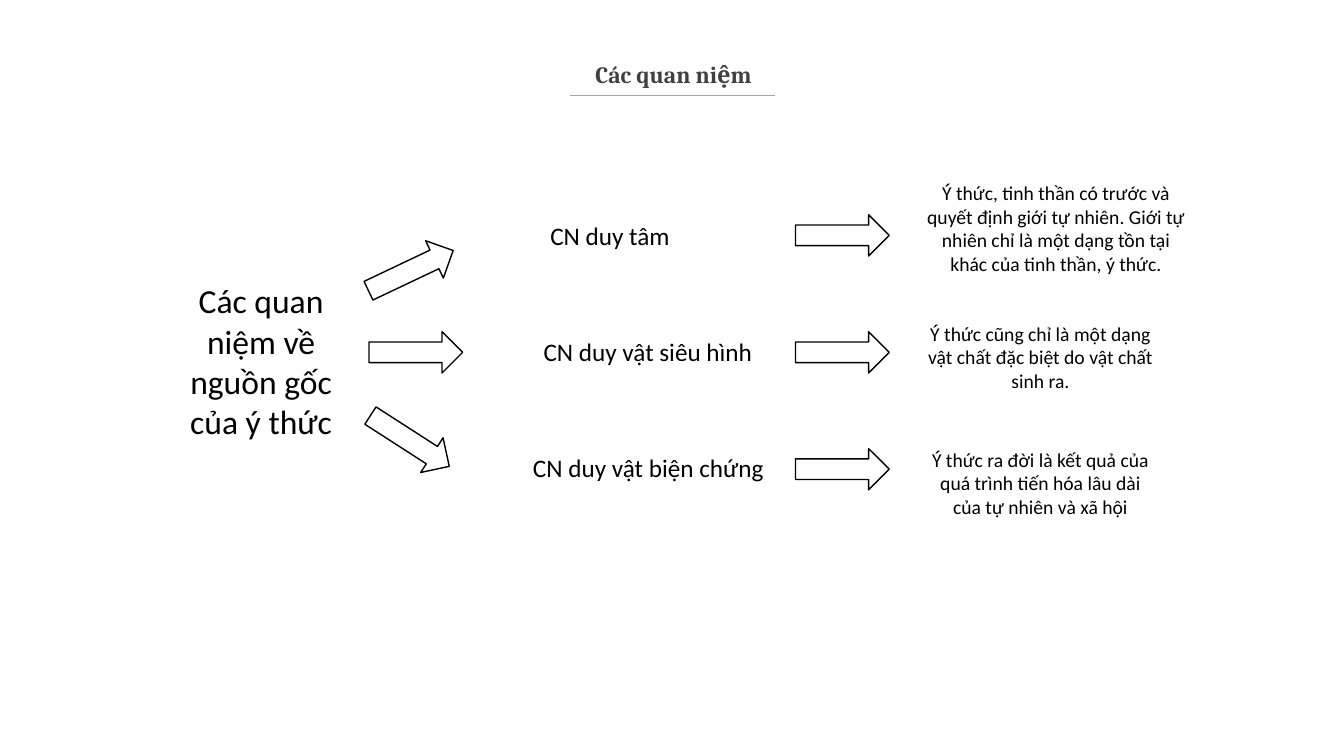
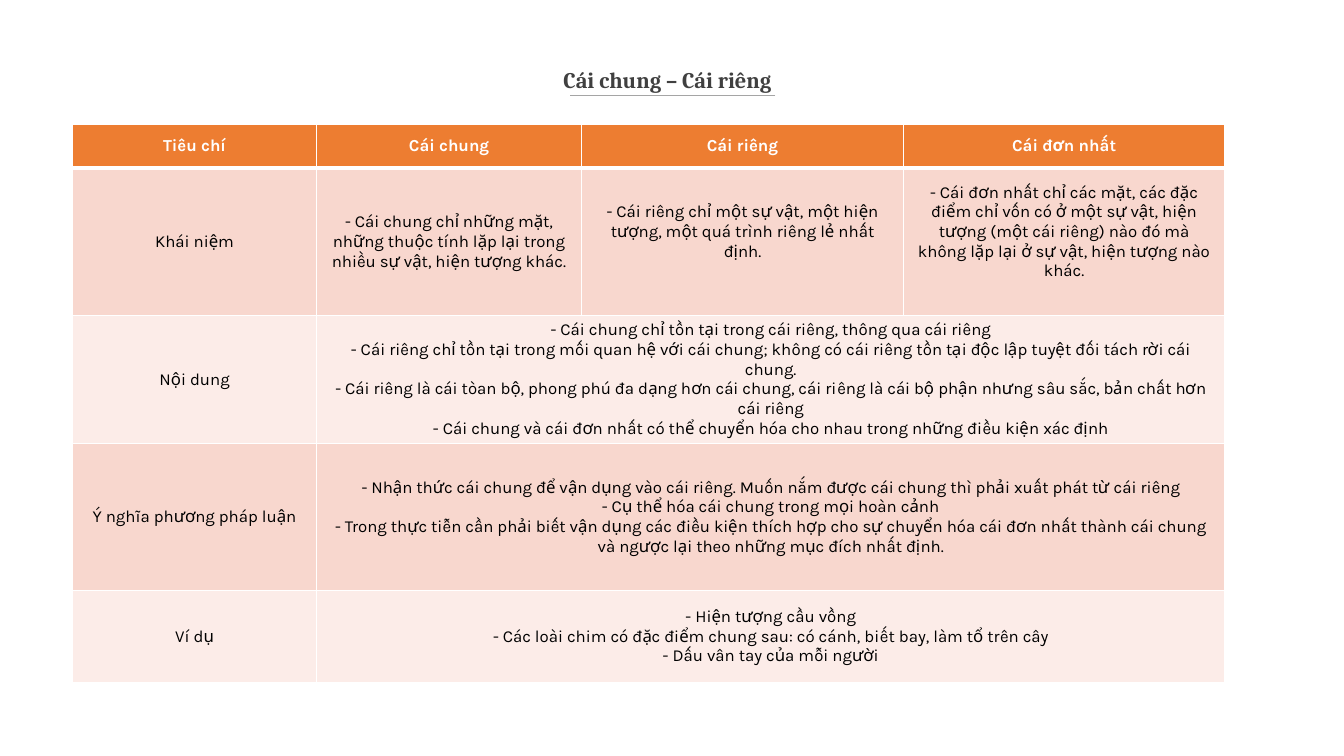
from typing import NamedTuple

from lxml import etree
from pptx import Presentation
from pptx.dml.color import RGBColor
from pptx.enum import shapes, text
from pptx.oxml import ns
from pptx.util import Inches, Pt

BLACK = RGBColor(0x00, 0x00, 0x00)
WHITE = RGBColor(0xFF, 0xFF, 0xFF)
TITLE_GREY = RGBColor(0x40, 0x40, 0x40)
RULE_GREY = RGBColor(0xA5, 0xA5, 0xA5)
ORANGE = RGBColor(0xED, 0x7D, 0x31)
PEACH = RGBColor(0xF8, 0xD7, 0xCE)
PALE_PEACH = RGBColor(0xFC, 0xEC, 0xE8)

TITLE_FONT, DIAGRAM_FONT, TABLE_FONT = "Cambria", "Calibri", "Karla"
ARROW_W, ARROW_H = 0.93, 0.41
COL_WIDTHS = [2.42, 2.63, 3.19, 3.19]
ROW_HEIGHTS = [0.44, 1.46, 1.27, 1.46, 0.91]


class Label(NamedTuple):
    left: float
    top: float
    width: float
    height: float
    words: str
    size: float


class Arrow(NamedTuple):
    left: float
    top: float
    rotation: float = 0


class Row(NamedTuple):
    heading: str
    cells: list[list[str]]
    bottom_margins: tuple[float, ...] = (0.05, 0.05, 0.05)


LABELS = [
    Label(1.56, 2.73, 2.06, 1.72, "Các quan niệm về nguồn gốc của ý thức", 24),
    Label(5.18, 2.14, 1.74, 0.4, "CN duy tâm", 18),
    Label(5.18, 3.29, 2.49, 0.4, "CN duy vật siêu hình", 18),
    Label(5.12, 4.44, 2.62, 0.4, "CN duy vật biện chứng", 18),
    Label(9.06, 1.75, 2.83, 1.04,
          "Ý thức, tinh thần có trước và quyết định giới tự nhiên. Giới tự nhiên "
          "chỉ là một dạng tồn tại khác của tinh thần, ý thức.", 14),
    Label(9.06, 3.14, 2.52, 0.81,
          "Ý thức cũng chỉ là một dạng vật chất đặc biệt do vật chất sinh ra.", 14),
    Label(9.07, 4.39, 2.5, 0.81,
          "Ý thức ra đời là kết quả của quá trình tiến hóa lâu dài của tự nhiên "
          "và xã hội", 14),
]

ARROWS = [
    Arrow(3.61, 2.48, 334.6),
    Arrow(3.66, 3.29),
    Arrow(3.6, 4.17, 32.8),
    *(Arrow(7.89, 2.13 + 1.16 * i) for i in range(3)),
]

ROWS = [
    Row("Tiêu chí", [["Cái chung"], ["Cái riêng"], ["Cái đơn nhất"]]),
    Row("Khái niệm", [
        ["- Cái chung chỉ những mặt, những thuộc tính lặp lại trong nhiều sự vật, "
         "hiện tượng khác."],
        ["- Cái riêng chỉ một sự vật, một hiện tượng, một quá trình riêng lẻ nhất "
         "định."],
        ["- Cái đơn nhất chỉ các mặt, các đặc điểm chỉ vốn có ở một sự vật, hiện "
         "tượng (một cái riêng) nào đó mà không lặp lại ở sự vật, hiện tượng nào "
         "khác."],
    ], (0.05, 0.25, 0.25)),
    Row("Nội dung", [[
        "- Cái chung chỉ tồn tại trong cái riêng, thông qua cái riêng",
        "- Cái riêng chỉ tồn tại trong mối quan hệ với cái chung; không có cái "
        "riêng tồn tại độc lập tuyệt đối tách rời cái chung.",
        "- Cái riêng là cái tòan bộ, phong phú đa dạng hơn cái chung, cái riêng là "
        "cái bộ phận nhưng sâu sắc, bản chất hơn cái riêng",
        "- Cái chung và cái đơn nhất có thể chuyển hóa cho nhau trong những điều "
        "kiện xác định",
    ]]),
    Row("Ý nghĩa phương pháp luận", [[
        "- Nhận thức cái chung để vận dụng vào cái riêng. Muốn nắm được cái chung "
        "thì phải xuất phát từ cái riêng",
        "- Cụ thể hóa cái chung trong mọi hoàn cảnh",
        "- Trong thực tiễn cần phải biết vận dụng các điều kiện thích hợp cho sự "
        "chuyển hóa cái đơn nhất thành cái chung và ngược lại theo những mục đích "
        "nhất định.",
    ]]),
    Row("Ví dụ", [[
        "- Hiện tượng cầu vồng",
        "- Các loài chim có đặc điểm chung sau: có cánh, biết bay, làm tổ trên cây",
        "- Dấu vân tay của mỗi người",
    ]]),
]


def write(tf, lines: list[str], font: str, size: float, color: RGBColor,
          bold: bool = False) -> None:
    for i, line in enumerate(lines):
        p = tf.paragraphs[0] if i == 0 else tf.add_paragraph()
        p.text = line
        p.alignment = text.PP_ALIGN.CENTER
        p.font.name = font
        p.font.size = Pt(size)
        p.font.color.rgb = color
        p.font.bold = bold


def add_titled_slide(prs, title: str, left: float, top: float, size: float,
                     line_spacing: float = 1.0):
    s = prs.slides.add_slide(prs.slide_layouts[5])
    rule = s.shapes.add_connector(shapes.MSO_CONNECTOR.STRAIGHT, Inches(7.69),
                                  Inches(0.95), Inches(5.65), Inches(0.95))
    rule.line.color.rgb = RULE_GREY
    rule.line.width = Pt(1)
    etree.SubElement(rule.element.spPr, ns.qn("a:effectLst"))

    sp = s.shapes.title
    sp.left, sp.top = Inches(left), Inches(top)
    sp.width, sp.height = Inches(11.68), Inches(0.47)
    tf = sp.text_frame
    tf.auto_size = text.MSO_AUTO_SIZE.NONE
    tf.vertical_anchor = text.MSO_ANCHOR.MIDDLE
    tf.margin_left = tf.margin_right = 0
    tf.margin_top = tf.margin_bottom = Inches(0.11)
    write(tf, [title], TITLE_FONT, size, TITLE_GREY, True)
    tf.paragraphs[0].line_spacing = line_spacing
    return s


def add_label(s, label: Label) -> None:
    sp = s.shapes.add_textbox(Inches(label.left), Inches(label.top),
                              Inches(label.width), Inches(label.height))
    tf = sp.text_frame
    tf.word_wrap = True
    tf.auto_size = text.MSO_AUTO_SIZE.SHAPE_TO_FIT_TEXT
    write(tf, [label.words], DIAGRAM_FONT, label.size, BLACK)


def add_arrow(s, arrow: Arrow) -> None:
    sp = s.shapes.add_shape(shapes.MSO_SHAPE.RIGHT_ARROW, Inches(arrow.left),
                            Inches(arrow.top), Inches(ARROW_W), Inches(ARROW_H))
    sp.rotation = arrow.rotation
    sp.shadow.inherit = False
    sp.fill.background()
    sp.line.color.rgb = BLACK
    sp.line.width = Pt(1)


def style_cell(cell, fill: RGBColor, top: float, bottom: float) -> None:
    tc_pr = cell._tc.get_or_add_tcPr()
    for side, width in (("L", 1), ("R", 1), ("T", top), ("B", bottom)):
        ln = etree.SubElement(tc_pr, ns.qn(f"a:ln{side}"), w=str(Pt(width)))
        solid = etree.SubElement(ln, ns.qn("a:solidFill"))
        etree.SubElement(solid, ns.qn("a:srgbClr"), val=str(WHITE))
    cell.fill.solid()
    cell.fill.fore_color.rgb = fill
    cell.vertical_anchor = text.MSO_ANCHOR.MIDDLE


def add_comparison_table(s) -> None:
    table = s.shapes.add_table(
        len(ROWS), len(COL_WIDTHS), Inches(0.72), Inches(1.23),
        Inches(sum(COL_WIDTHS)), Inches(sum(ROW_HEIGHTS))).table
    table.horz_banding = False
    for column, width in zip(table.columns, COL_WIDTHS):
        column.width = Inches(width)
    for i, row in enumerate(ROWS):
        table.rows[i].height = Inches(ROW_HEIGHTS[i])
        header = i == 0
        fill = ORANGE if header else PEACH if i % 2 else PALE_PEACH
        for j in range(len(COL_WIDTHS)):
            style_cell(table.cell(i, j), fill, 3 if i == 1 else 1, 3 if header else 1)
        if len(row.cells) == 1:
            table.cell(i, 1).merge(table.cell(i, len(COL_WIDTHS) - 1))
        for j, lines in enumerate([[row.heading], *row.cells]):
            cell = table.cell(i, j)
            if j:
                cell.margin_bottom = Inches(row.bottom_margins[j - 1])
            write(cell.text_frame, lines, TABLE_FONT, 12,
                  WHITE if header else BLACK, header)


def main() -> None:
    prs = Presentation()
    prs.slide_width, prs.slide_height = Inches(13.33), Inches(7.5)

    s = add_titled_slide(prs, "Các quan niệm", 0.84, 0.53, 16.8, 0.8)
    for label in LABELS:
        add_label(s, label)
    for arrow in ARROWS:
        add_arrow(s, arrow)

    s = add_titled_slide(prs, "Cái chung – Cái riêng", 0.78, 0.55, 16)
    add_comparison_table(s)

    prs.save("out.pptx")


if __name__ == "__main__":
    main()
